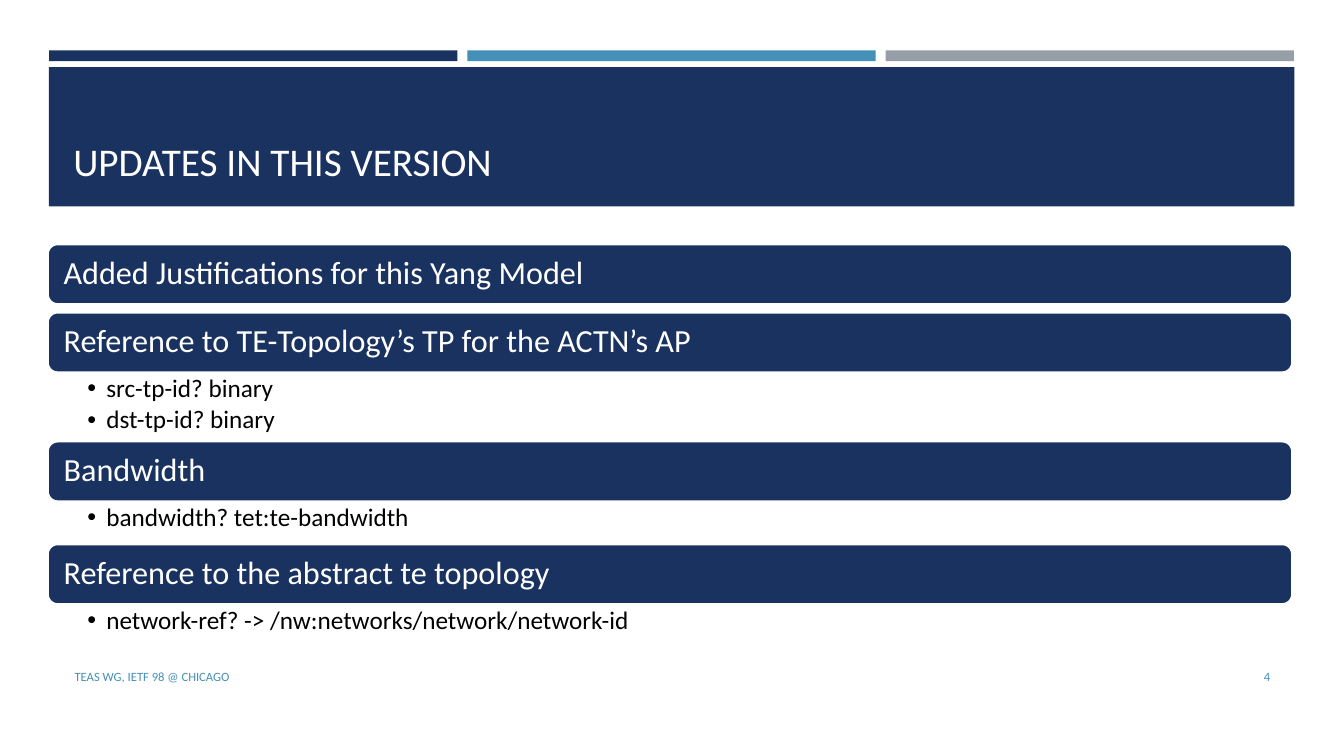
from dataclasses import dataclass

from lxml import etree
from pptx import Presentation
from pptx.dml.color import RGBColor
from pptx.enum.shapes import MSO_SHAPE
from pptx.enum.text import MSO_ANCHOR, PP_ALIGN
from pptx.oxml.ns import qn
from pptx.shapes.autoshape import Shape
from pptx.slide import Slide
from pptx.text.text import TextFrame, _Paragraph
from pptx.util import Cm, Pt

RECTANGLE = MSO_SHAPE.RECTANGLE
ROUNDED = MSO_SHAPE.ROUNDED_RECTANGLE
TOP, MIDDLE, BOTTOM = MSO_ANCHOR.TOP, MSO_ANCHOR.MIDDLE, MSO_ANCHOR.BOTTOM
LEFT, RIGHT = PP_ALIGN.LEFT, PP_ALIGN.RIGHT

NAVY = RGBColor(0x1A, 0x32, 0x60)
BLUE = RGBColor(0x45, 0x90, 0xB8)
GRAY = RGBColor(0x96, 0x9F, 0xA7)
WHITE = RGBColor(0xFF, 0xFF, 0xFF)
BLACK = RGBColor(0x00, 0x00, 0x00)

FONT = "Calibri"
STRIPE_LEFT, STRIPE_WIDTH, STRIPE_PITCH = 1.24, 10.29, 10.54
TOPIC_LEFT, TOPIC_TOP, TOPIC_WIDTH = 1.2, 6.15, 31.37
TOPIC_HEIGHT, TOPIC_GAP = 1.52, 0.2
BULLET_INDENT = 0.48


@dataclass(frozen=True)
class Area:
    left: float
    top: float
    width: float
    height: float

    def lengths(self) -> tuple[Cm, Cm, Cm, Cm]:
        return Cm(self.left), Cm(self.top), Cm(self.width), Cm(self.height)


@dataclass(frozen=True)
class Label:
    text: str
    area: Area
    size: float
    color: RGBColor
    anchor: MSO_ANCHOR = MIDDLE
    align: PP_ALIGN = LEFT


@dataclass(frozen=True)
class Topic:
    heading: str
    details: tuple[str, ...] = ()
    details_height: float = TOPIC_GAP


LABELS = (
    Label("UPDATES IN THIS VERSION", Area(1.6, 2.03, 30.63, 2.74), 28, WHITE, BOTTOM),
    Label("TEAS WG, IETF 98 @ CHICAGO", Area(1.63, 16.54, 19.2, 1.02), 9, BLUE),
    Label("4", Area(29.34, 16.54, 2.92, 1.02), 9, BLUE, align=RIGHT),
)

TOPICS = (
    Topic("Added Justifications for this Yang Model"),
    Topic(
        "Reference to TE-Topology’s TP for the ACTN’s AP",
        ("src-tp-id? binary", "dst-tp-id? binary"),
        1.73,
    ),
    Topic("Bandwidth", ("bandwidth? tet:te-bandwidth",), 1.07),
    Topic(
        "Reference to the abstract te topology",
        ("network-ref? -> /nw:networks/network/network-id",),
        1.07,
    ),
)


def add_block(page: Slide, kind: MSO_SHAPE, area: Area, color: RGBColor) -> Shape:
    block = page.shapes.add_shape(kind, *area.lengths())
    block.shadow.inherit = False
    block.fill.solid()
    block.fill.fore_color.rgb = color
    block.line.fill.background()
    return block


def add_text(para: _Paragraph, text: str, size: float, color: RGBColor) -> None:
    span = para.add_run()
    span.text = text
    span.font.name = FONT
    span.font.size = Pt(size)
    span.font.color.rgb = color


def set_frame(frame: TextFrame, anchor: MSO_ANCHOR, left: float, side: float) -> None:
    frame.word_wrap = True
    frame.vertical_anchor = anchor
    frame.margin_left = Cm(left)
    frame.margin_right = Cm(side)


def add_label(page: Slide, label: Label) -> None:
    box = page.shapes.add_textbox(*label.area.lengths())
    set_frame(box.text_frame, label.anchor, 0.25, 0.25)
    para = box.text_frame.paragraphs[0]
    para.alignment = label.align
    add_text(para, label.text, label.size, label.color)


def add_heading(page: Slide, heading: str, area: Area) -> None:
    bar = add_block(page, ROUNDED, area, NAVY)
    bar.line.color.rgb = WHITE
    bar.line.width = Pt(1.75)
    set_frame(bar.text_frame, MIDDLE, 0.33, 0.33)
    para = bar.text_frame.paragraphs[0]
    para.alignment = LEFT
    para.line_spacing = 0.9
    add_text(para, heading, 23, WHITE)


def set_bullet(para: _Paragraph) -> None:
    properties = para._p.get_or_add_pPr()
    properties.set("marL", str(Cm(BULLET_INDENT)))
    properties.set("indent", str(Cm(-BULLET_INDENT)))
    etree.SubElement(properties, qn("a:buFont"), typeface="Arial")
    etree.SubElement(properties, qn("a:buChar"), char="•")


def add_details(page: Slide, details: tuple[str, ...], area: Area) -> None:
    box = page.shapes.add_textbox(*area.lengths())
    frame = box.text_frame
    set_frame(frame, TOP, 1, 0.45)
    frame.margin_top = frame.margin_bottom = Cm(0.08)
    for index, detail in enumerate(details):
        para = frame.add_paragraph() if index else frame.paragraphs[0]
        para.line_spacing = 0.9
        para.space_after = Pt(3)
        set_bullet(para)
        add_text(para, detail, 18, BLACK)


def add_topics(page: Slide, topics: tuple[Topic, ...]) -> None:
    top = TOPIC_TOP
    for topic in topics:
        add_heading(page, topic.heading, Area(TOPIC_LEFT, top, TOPIC_WIDTH, TOPIC_HEIGHT))
        top += TOPIC_HEIGHT
        if topic.details:
            area = Area(TOPIC_LEFT, top, TOPIC_WIDTH, topic.details_height)
            add_details(page, topic.details, area)
        top += topic.details_height


deck = Presentation()
deck.slide_width = Cm(33.87)
deck.slide_height = Cm(19.05)
page = deck.slides.add_slide(deck.slide_layouts[6])

for column, color in enumerate((NAVY, BLUE, GRAY)):
    left = STRIPE_LEFT + column * STRIPE_PITCH
    add_block(page, RECTANGLE, Area(left, 1.27, STRIPE_WIDTH, 0.27), color)
add_block(page, RECTANGLE, Area(1.23, 1.69, 31.39, 3.51), NAVY)
for label in LABELS:
    add_label(page, label)
add_topics(page, TOPICS)

deck.save("out.pptx")
